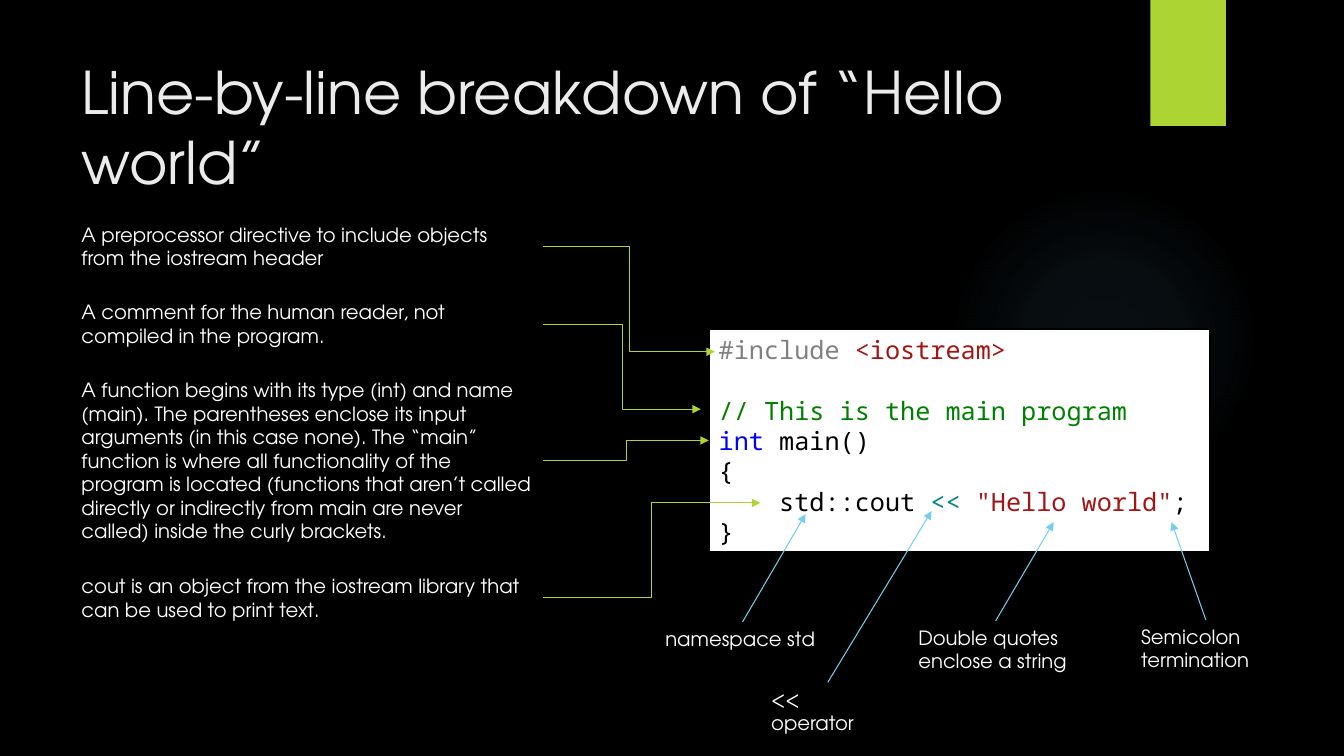
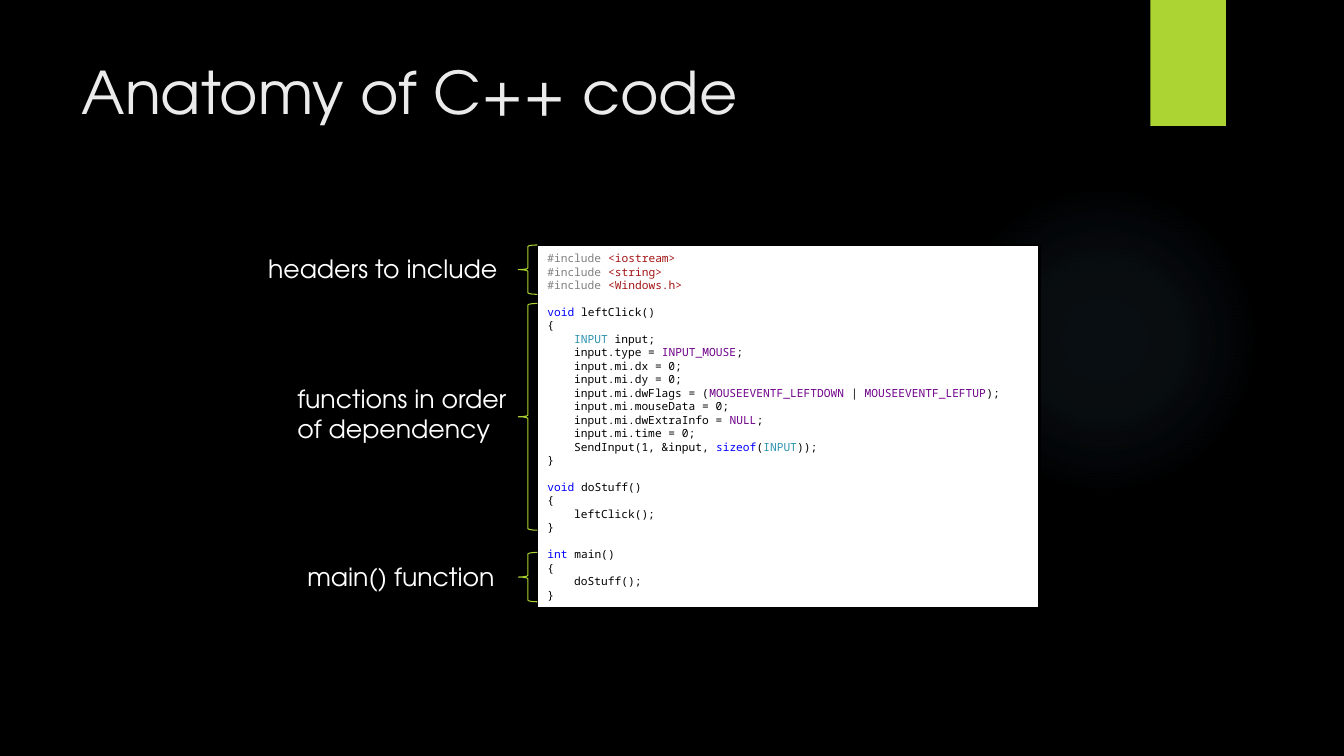
from lxml import etree
from pptx import Presentation
from pptx.dml.color import RGBColor
from pptx.enum.shapes import MSO_CONNECTOR, MSO_SHAPE
from pptx.enum.text import MSO_ANCHOR
from pptx.oxml import parse_xml
from pptx.oxml.ns import qn
from pptx.util import Inches, Pt

RECTANGLE, OVAL, LEFT_BRACE = MSO_SHAPE.RECTANGLE, MSO_SHAPE.OVAL, MSO_SHAPE.LEFT_BRACE
STRAIGHT, ELBOW = MSO_CONNECTOR.STRAIGHT, MSO_CONNECTOR.ELBOW
TOP, MIDDLE = MSO_ANCHOR.TOP, MSO_ANCHOR.MIDDLE

TEXT_FONT, CODE_FONT = "TeX Gyre Adventor", "Noto Sans Mono"
BLACK, WHITE, TITLE_COLOR = "000000", "FFFFFF", "EBEBEB"
ACCENT, CALLOUT, GLOW = "ACD433", "75CEEC", "7AC4F0"
DIRECTIVE, STRING, COMMENT, KEYWORD = "808080", "A31515", "008000", "0000FF"
OPERATOR, TYPE, MACRO = "008080", "2B91AF", "6F008A"

CODE_LINE_RATIO = 1.2
CODE_INDENT_RATIO = 2.4
NOTE_LINE_HEIGHT = 0.235
NOTE_GAP = 0.2


def include(header):
    return 0, [("#include ", DIRECTIVE), (header, STRING)]


def plain(text, indent=0):
    return indent, [(text, BLACK)]


def signature(kind, name):
    return 0, [(kind, KEYWORD), (" " + name, BLACK)]


BLANK = None
HELLO_CODE = [
    include("<iostream>"),
    BLANK,
    (0, [("// This is the main program", COMMENT)]),
    signature("int", "main()"),
    plain("{"),
    (1, [("std::cout ", BLACK), ("<< ", OPERATOR), ('"Hello world"', STRING), (";", BLACK)]),
    plain("}"),
]
ANATOMY_CODE = [
    include("<iostream>"),
    include("<string>"),
    include("<Windows.h>"),
    BLANK,
    signature("void", "leftClick()"),
    plain("{"),
    (1, [("INPUT ", TYPE), ("input;", BLACK)]),
    (1, [("input.type = ", BLACK), ("INPUT_MOUSE", MACRO), (";", BLACK)]),
    plain("input.mi.dx = 0;", 1),
    plain("input.mi.dy = 0;", 1),
    (1, [("input.mi.dwFlags = (", BLACK), ("MOUSEEVENTF_LEFTDOWN", MACRO), (" | ", BLACK),
         ("MOUSEEVENTF_LEFTUP", MACRO), (");", BLACK)]),
    plain("input.mi.mouseData = 0;", 1),
    (1, [("input.mi.dwExtraInfo = ", BLACK), ("NULL", MACRO), (";", BLACK)]),
    plain("input.mi.time = 0;", 1),
    (1, [("SendInput(1, &input, ", BLACK), ("sizeof", KEYWORD), ("(", BLACK),
         ("INPUT", TYPE), ("));", BLACK)]),
    plain("}"),
    BLANK,
    signature("void", "doStuff()"),
    plain("{"),
    plain("leftClick();", 1),
    plain("}"),
    BLANK,
    signature("int", "main()"),
    plain("{"),
    plain("doStuff();", 1),
    plain("}"),
]
NOTES = [
    ("A preprocessor directive to include objects from the iostream header", 2, (7.09, 3.49)),
    ("A comment for the human reader, not compiled in the program.", 2, (6.95, 4.06)),
    ("A function begins with its type (int) and name (main). The parentheses enclose its input "
     "arguments (in this case none). The “main” function is where all functionality of the "
     "program is located (functions that aren’t called directly or indirectly from main are "
     "never called) inside the curly brackets.", 7, (7.03, 4.37)),
    ("cout is an object from the iostream library that can be used to print text.", 2, (7.54, 4.99)),
]
CALLOUTS = [
    ("namespace std", (6.5, 6.17, 1.73, 0.34), (7.99, 5.1)),
    ("<< operator", (7.55, 6.77, 1.32, 0.34), (9.24, 5.07)),
    ("Double quotes enclose a string", (9.01, 6.16, 1.73, 0.57), (10.45, 5.18)),
    ("Semicolon termination", (11.22, 6.15, 1.48, 0.57), (11.62, 5.18)),
]
SECTIONS = [
    ("headers to include", (2.56, 2.46, 2.58, 0.4), 0, 0.49),
    ("functions in order of dependency", (2.85, 3.75, 2.39, 0.71), 0.58, 2.25),
    ("main() function", (2.95, 5.52, 2.18, 0.4), 3.05, 0.49),
]


def color(value):
    return RGBColor.from_string(value)


def inches(values):
    return [Inches(value) for value in values]


def add_shape(slide, kind, box, fill=None, line=None, width=0.75):
    shape = slide.shapes.add_shape(kind, *inches(box))
    shape.shadow.inherit = False
    if fill:
        shape.fill.solid()
        shape.fill.fore_color.rgb = color(fill)
    else:
        shape.fill.background()
    if line:
        shape.line.color.rgb = color(line)
        shape.line.width = Pt(width)
    else:
        shape.line.fill.background()
    return shape


def add_text(slide, text, box, size, text_color=WHITE):
    frame = slide.shapes.add_textbox(*inches(box)).text_frame
    frame.word_wrap = True
    frame.vertical_anchor = TOP
    paragraph = frame.paragraphs[0]
    paragraph.text = text
    paragraph.font.name = TEXT_FONT
    paragraph.font.size = Pt(size)
    paragraph.font.color.rgb = color(text_color)


def add_arrow(slide, kind, start, end, line):
    connector = slide.shapes.add_connector(kind, *inches(start + end))
    connector.line.color.rgb = color(line)
    connector.line.width = Pt(0.75)
    etree.SubElement(connector.line._get_or_add_ln(), qn("a:tailEnd"), type="triangle")
    etree.SubElement(connector._element.spPr, qn("a:effectLst"))


def add_glow(slide, box):
    shape = add_shape(slide, OVAL, box, GLOW)
    stops = "".join(
        f'<a:gs pos="{position * 1000}"><a:srgbClr val="{GLOW}">'
        f'<a:alpha val="{alpha * 1000}"/></a:srgbClr></a:gs>'
        for position, alpha in [(0, 7), (36, 6), (69, 0), (100, 0)]
    )
    gradient = parse_xml(
        '<a:gradFill xmlns:a="http://schemas.openxmlformats.org/drawingml/2006/main">'
        f'<a:gsLst>{stops}</a:gsLst><a:path path="circle">'
        '<a:fillToRect l="50000" t="50000" r="50000" b="50000"/></a:path></a:gradFill>'
    )
    properties = shape._element.spPr
    properties.replace(properties.find(qn("a:solidFill")), gradient)


def add_base_slide(presentation, title):
    slide = presentation.slides.add_slide(presentation.slide_layouts[6])
    slide.background.fill.solid()
    slide.background.fill.fore_color.rgb = color(BLACK)
    add_glow(slide, (9.41, 1.83, 3.08, 3.08))
    add_shape(slide, RECTANGLE, (11.41, 0, 0.75, 1.25), ACCENT)
    add_text(slide, title, (0.71, 0.5, 10.29, 1.53), 42, TITLE_COLOR)
    return slide


def add_code_panel(slide, box, lines, size):
    frame = add_shape(slide, RECTANGLE, box, WHITE, BLACK, 1.5).text_frame
    frame.word_wrap = True
    frame.vertical_anchor = MIDDLE
    line_height = Pt(size * CODE_LINE_RATIO)
    paragraph = frame.paragraphs[0]
    for index, line in enumerate(lines):
        if line is BLANK:
            continue
        if index:
            paragraph = frame.add_paragraph()
            if lines[index - 1] is BLANK:
                paragraph.space_before = line_height
        indent, tokens = line
        properties = paragraph._p.get_or_add_pPr()
        properties.set("algn", "l")
        properties.set("marL", str(Pt(size * CODE_INDENT_RATIO * indent)))
        paragraph.line_spacing = line_height
        paragraph.font.name = CODE_FONT
        paragraph.font.size = Pt(size)
        for text, token_color in tokens:
            run = paragraph.add_run()
            run.text = text
            run.font.color.rgb = color(token_color)


def add_notes_column(slide, left, top, width):
    for text, line_count, tip in NOTES:
        height = 0.1 + NOTE_LINE_HEIGHT * line_count
        add_text(slide, text, (left, top, width, height), 14)
        add_arrow(slide, ELBOW, (left + width, top + height / 2), tip, ACCENT)
        top += height + NOTE_GAP


def add_callout(slide, text, box, tip):
    left, top, width, _ = box
    add_text(slide, text, box, 14)
    add_arrow(slide, STRAIGHT, (left + width / 2, top), tip, CALLOUT)


def build_breakdown(presentation):
    slide = add_base_slide(presentation, "Line-by-line breakdown of “Hello world”")
    add_code_panel(slide, (7.03, 3.26, 4.97, 2.22), HELLO_CODE, 18)
    add_notes_column(slide, 0.71, 2.16, 4.68)
    for text, box, tip in CALLOUTS:
        add_callout(slide, text, box, tip)


def build_anatomy(presentation):
    slide = add_base_slide(presentation, "Anatomy of C++ code")
    panel = left, top, _, _ = (5.33, 2.43, 4.98, 3.6)
    add_code_panel(slide, panel, ANATOMY_CODE, 8)
    brace_width = 0.19
    for text, box, offset, height in SECTIONS:
        brace_box = (left - brace_width, top + offset, brace_width, height)
        add_shape(slide, LEFT_BRACE, brace_box, line=ACCENT)
        add_text(slide, text, box, 18)


def main():
    presentation = Presentation()
    presentation.slide_width = Inches(13.33)
    presentation.slide_height = Inches(7.5)
    build_breakdown(presentation)
    build_anatomy(presentation)
    presentation.save("out.pptx")


if __name__ == "__main__":
    main()
